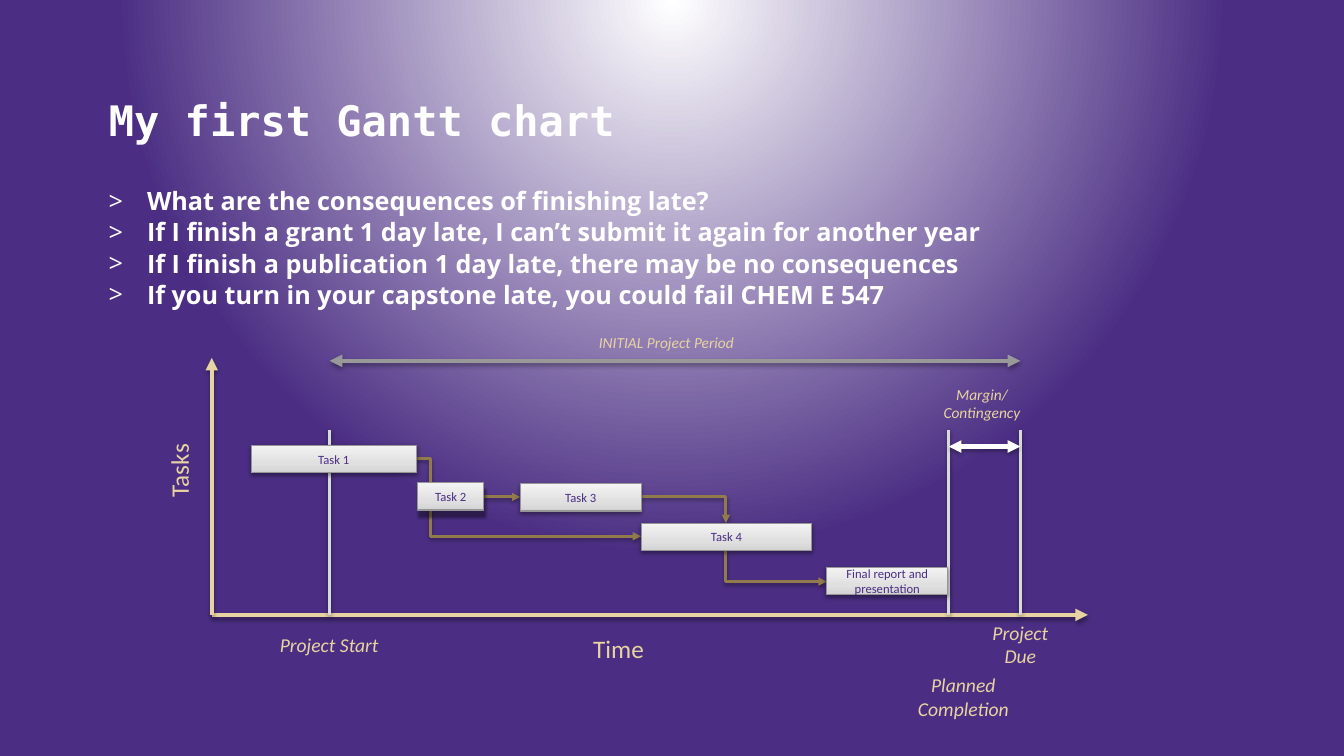
from dataclasses import dataclass
from typing import Optional

from lxml.etree import SubElement
from pptx import Presentation
from pptx.dml.color import RGBColor
from pptx.enum.shapes import MSO_CONNECTOR, MSO_SHAPE
from pptx.enum.text import MSO_ANCHOR, MSO_AUTO_SIZE, PP_ALIGN
from pptx.oxml import parse_xml
from pptx.oxml.ns import nsdecls, qn
from pptx.util import Emu, Pt

PX = 9144  # 100 px to the inch
COLORS = {
    "purple": "4B2E83", "white": "FFFFFF", "gold": "E8D3A2", "link": "917B4C",
    "marker": "D8D9DA", "period": "999999", "border": "969696",
}
BAR_STOPS = [(0, "D4D4D4"), (35, "E0E0E0"), (100, "F3F3F3")]
BAR_HEIGHT = 27
AXIS_Y, MARKER_TOP = 610, 427
START_X, PLANNED_X, DUE_X = 327, 941, 1012


@dataclass
class Shadow:
    alpha: int = 38
    blur: float = 3.1
    distance: float = 1.6
    angle: int = 90


@dataclass
class Task:
    name: str
    left: int
    top: int
    width: int
    shadow: Shadow


@dataclass
class Line:
    start: tuple[int, int]
    end: tuple[int, int]
    color: str
    width: int = 3
    head: bool = False
    tail: bool = True
    preset: Optional[str] = None
    bend: Optional[int] = None


@dataclass
class Label:
    text: str
    box: tuple[int, int, int, int]
    size: int = 14
    italic: bool = True
    wrap: bool = False
    rotation: int = 0


SOFT = Shadow()
AXIS_SHADOW = Shadow(35, 3.1, 1.8)

TASKS = [
    Task("Task 1", 249, 442, 164, SOFT),
    Task("Task 2", 414, 479, 66, Shadow(41, 2, 5, 80)),
    Task("Task 3", 516, 480, 120, SOFT),
    Task("Task 4", 636, 519, 169, SOFT),
    Task("Final report and presentation", 820, 563, 120, SOFT),
]
LINES = [
    Line((413, 455), (636, 532), "link", 2, bend=6400),
    Line((480, 493), (516, 493), "link", 2, bend=50000),
    Line((636, 493), (720, 519), "link", 2, preset="bentConnector2"),
    Line((720, 546), (820, 577), "link", 2, bend=0),
    Line((210, AXIS_Y), (1079, AXIS_Y), "gold"),
    Line((210, AXIS_Y), (210, 355), "gold"),
    *[Line((x, AXIS_Y), (x, MARKER_TOP), "marker", 2, tail=False)
      for x in (START_X, PLANNED_X, DUE_X)],
    Line((PLANNED_X, 443), (DUE_X, 443), "white", head=True),
    Line((START_X, 358), (DUE_X, 358), "period", head=True),
]
LABELS = [
    Label("Time", (575, 623, 77, 40), 18, italic=False),
    Label("Tasks", (138, 447, 79, 40), 18, italic=False, rotation=270),
    Label("Project Start", (267, 623, 119, 34)),
    Label("Project\nDue", (974, 611, 76, 57)),
    Label("Planned\nCompletion", (900, 663, 111, 57)),
    Label("Margin/ Contingency", (909, 377, 130, 47), 11, wrap=True),
    Label("INITIAL Project Period", (495, 326, 332, 29), 11, wrap=True),
]
BULLETS = [
    "What are the consequences of finishing late?",
    "If I finish a grant 1 day late, I can’t submit it again for another year",
    "If I finish a publication 1 day late, there may be no consequences",
    "If you turn in your capstone late, you could fail CHEM E 547",
]


def px(*values: int) -> list[Emu]:
    return [Emu(v * PX) for v in values]


def rgb(name: str) -> RGBColor:
    return RGBColor.from_string(COLORS[name])


def set_font(p, face: str, size: int, color: str, bold=False, italic=False) -> None:
    f = p.font
    f.name, f.size, f.bold, f.italic = face, Pt(size), bold, italic
    f.color.rgb = rgb(color)


def set_gradient(fill, parent, stops: list[tuple[int, str]], direction: str) -> None:
    """Fill with a gradient; direction is its a:lin or a:path element."""
    fill.solid()
    gs = "".join(f'<a:gs pos="{pos * 1000}"><a:srgbClr val="{color}"/></a:gs>'
                 for pos, color in stops)
    parent.replace(parent.find(qn("a:solidFill")), parse_xml(
        f'<a:gradFill {nsdecls("a")} rotWithShape="1">'
        f'<a:gsLst>{gs}</a:gsLst>{direction}</a:gradFill>'))


def add_shadow(sp_pr, shadow: Shadow) -> None:
    sp_pr.append(parse_xml(
        f'<a:effectLst {nsdecls("a")}><a:outerShdw blurRad="{Pt(shadow.blur)}" '
        f'dist="{Pt(shadow.distance)}" dir="{shadow.angle * 60000}" rotWithShape="0">'
        f'<a:srgbClr val="000000"><a:alpha val="{shadow.alpha * 1000}"/></a:srgbClr>'
        '</a:outerShdw></a:effectLst>'))


def add_line(s, line: Line) -> None:
    elbow = line.preset or line.bend is not None
    kind = MSO_CONNECTOR.ELBOW if elbow else MSO_CONNECTOR.STRAIGHT
    c = s.shapes.add_connector(kind, *px(*line.start, *line.end))
    c.line.color.rgb = rgb(line.color)
    c.line.width = Pt(line.width)
    sp_pr = c._element.spPr
    geom = sp_pr.find(qn("a:prstGeom"))
    if line.preset:
        geom.set("prst", line.preset)
    if line.bend is not None:
        SubElement(geom.find(qn("a:avLst")), qn("a:gd"),
                   name="adj1", fmla=f"val {line.bend}")
    ln = c.line._get_or_add_ln()
    for shown, tag in ((line.head, "a:headEnd"), (line.tail, "a:tailEnd")):
        if shown:
            SubElement(ln, qn(tag), type="triangle")
    add_shadow(sp_pr, AXIS_SHADOW if line.width == 3 else SOFT)


def add_task(s, task: Task) -> None:
    sp = s.shapes.add_shape(MSO_SHAPE.RECTANGLE,
                            *px(task.left, task.top, task.width, BAR_HEIGHT))
    sp_pr = sp._element.spPr
    set_gradient(sp.fill, sp_pr, BAR_STOPS, '<a:lin ang="16200000" scaled="0"/>')
    sp.line.color.rgb = rgb("border")
    sp.line.width = Pt(0.75)
    add_shadow(sp_pr, task.shadow)
    tf = sp.text_frame
    tf.text, tf.vertical_anchor = task.name, MSO_ANCHOR.MIDDLE
    p = tf.paragraphs[0]
    p.alignment = PP_ALIGN.CENTER
    set_font(p, "Calibri", 9, "purple")


def add_label(s, label: Label) -> None:
    sp = s.shapes.add_textbox(*px(*label.box))
    sp.rotation = label.rotation
    tf = sp.text_frame
    tf.text, tf.word_wrap = label.text, label.wrap
    tf.auto_size = MSO_AUTO_SIZE.SHAPE_TO_FIT_TEXT
    for p in tf.paragraphs:
        p.alignment = PP_ALIGN.CENTER
        set_font(p, "Calibri", label.size, "gold", italic=label.italic)


def add_title(s) -> None:
    title = s.shapes.title
    title.left, title.top, title.width, title.height = px(98, 41, 1161, 108)
    tf = title.text_frame
    tf.text, tf.vertical_anchor = "My first Gantt chart", MSO_ANCHOR.BOTTOM
    tf.auto_size = MSO_AUTO_SIZE.NONE
    p = tf.paragraphs[0]
    p.alignment = PP_ALIGN.LEFT
    set_font(p, "DejaVu Sans Mono", 30, "white", bold=True)


def add_bullets(s) -> None:
    tf = s.shapes.add_textbox(*px(98, 179, 1178, 134)).text_frame
    tf.text, tf.word_wrap = "\n".join(BULLETS), True
    for i, p in enumerate(tf.paragraphs):
        p.space_before = Pt(0.7 if i else 0)
        p_pr = p._p.get_or_add_pPr()
        p_pr.set("marL", str(38 * PX))
        p_pr.set("indent", str(-38 * PX))
        SubElement(p_pr, qn("a:buFont"), typeface="Open Sans")
        SubElement(p_pr, qn("a:buChar"), char=">")
        set_font(p, "Open Sans", 18, "white", bold=True)


def main() -> None:
    prs = Presentation()
    prs.slide_width, prs.slide_height = px(1333, 750)
    s = prs.slides.add_slide(prs.slide_layouts[5])
    fill = s.background.fill
    fill.solid()
    set_gradient(fill, s._element.find(".//" + qn("p:bgPr")),
                 [(0, COLORS["white"]), (72, COLORS["purple"])],
                 '<a:path path="circle"><a:fillToRect l="50000" t="-80000" '
                 'r="50000" b="180000"/></a:path>')
    add_title(s)
    add_bullets(s)
    for line in LINES:
        add_line(s, line)
    for task in TASKS:
        add_task(s, task)
    for label in LABELS:
        add_label(s, label)
    prs.save("out.pptx")


if __name__ == "__main__":
    main()
